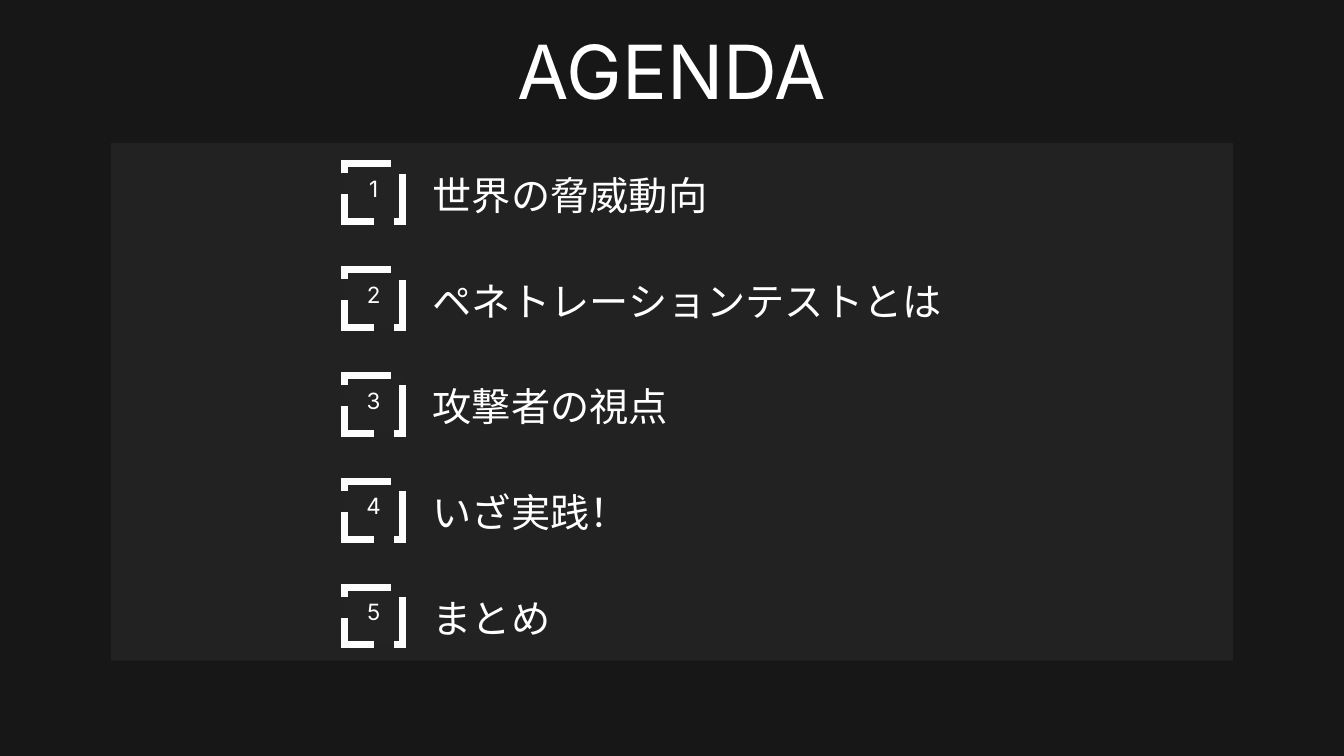
from lxml import etree
from pptx import Presentation
from pptx.dml.color import RGBColor
from pptx.enum.dml import MSO_LINE
from pptx.enum.shapes import MSO_SHAPE
from pptx.enum.text import MSO_ANCHOR, MSO_AUTO_SIZE, PP_ALIGN
from pptx.oxml.ns import qn
from pptx.util import Pt

RECT = MSO_SHAPE.RECTANGLE
DASH = MSO_LINE.LONG_DASH
MIDDLE = MSO_ANCHOR.MIDDLE
GROW = MSO_AUTO_SIZE.SHAPE_TO_FIT_TEXT
LEFT, CENTER = PP_ALIGN.LEFT, PP_ALIGN.CENTER

BACK = RGBColor(0x17, 0x17, 0x17)
WHITE = RGBColor(0xFF, 0xFF, 0xFF)
FRAME = RGBColor(0xFD, 0xFD, 0xFD)
BADGE = RGBColor(0x24, 0x23, 0x23)

TOPICS = [
    "世界の脅威動向",
    "ペネトレーションテストとは",
    "攻撃者の視点",
    "いざ実践！",
    "まとめ",
]
FIRST, STEP = 175.6, 113.4
BADGE_X, BADGE_SIZE, RISE = 369.4, 61.9, 14.2
LABEL_X = 463.7


def add_text(shapes, text, x, y, w, h, size, font, align=LEFT, inset=0):
    box = shapes.add_textbox(Pt(x), Pt(y), Pt(w), Pt(h))
    frame = box.text_frame
    frame.word_wrap = True
    frame.margin_left = frame.margin_right = Pt(inset)
    frame.margin_top = frame.margin_bottom = Pt(inset)
    para = frame.paragraphs[0]
    para.text = text
    para.alignment = align
    para.line_spacing = Pt(size * (0.98 if size == 80 else 1.4))
    para.font.size = Pt(size)
    para.font.name = font
    para.font.color.rgb = WHITE
    return frame


def add_rect(shapes, x, y, w, h, color):
    rect = shapes.add_shape(RECT, Pt(x), Pt(y), Pt(w), Pt(h))
    rect.shadow.inherit = False
    rect.fill.solid()
    rect.fill.fore_color.rgb = color
    return rect


def add_panel(shapes):
    panel = add_rect(shapes, 118.8, 153.2, 1202.4, 554.4, WHITE)
    panel.line.fill.background()
    color = panel.fill._xPr.find(qn("a:solidFill"))[0]
    etree.SubElement(color, qn("a:alpha"), val="5000")


def add_badge(shapes, number, y):
    group = shapes.add_group_shape().shapes
    square = add_rect(group, BADGE_X, y, BADGE_SIZE, BADGE_SIZE, BADGE)
    square.line.color.rgb = FRAME
    square.line.width = Pt(7.5)
    square.line.dash_style = DASH
    line = square._element.spPr.find(qn("a:ln"))
    etree.SubElement(line, qn("a:miter"), lim="800000")
    frame = add_text(group, str(number), BADGE_X, y - RISE, BADGE_SIZE,
                     BADGE_SIZE + RISE, 24, "Inter", CENTER, 4)
    frame.vertical_anchor = MIDDLE


def add_topic(shapes, number, text, y):
    add_badge(shapes, number, y)
    width = 606.2 if number == 1 else 590.4
    frame = add_text(shapes, text, LABEL_X, y - 0.7, width, 56.9, 42, "Calibri")
    frame.auto_size = GROW


def main():
    deck = Presentation()
    deck.slide_width, deck.slide_height = Pt(1440), Pt(810)
    slide = deck.slides.add_slide(deck.slide_layouts[6])
    slide.background.fill.solid()
    slide.background.fill.fore_color.rgb = BACK
    shapes = slide.shapes
    add_panel(shapes)
    title = add_text(shapes, "AGENDA", 239.4, 44.6, 961.2, 83.5, 80, "Inter", CENTER)
    title.auto_size = GROW
    for i, text in enumerate(TOPICS):
        add_topic(shapes, i + 1, text, FIRST + i * STEP)
    deck.save("out.pptx")


if __name__ == "__main__":
    main()
